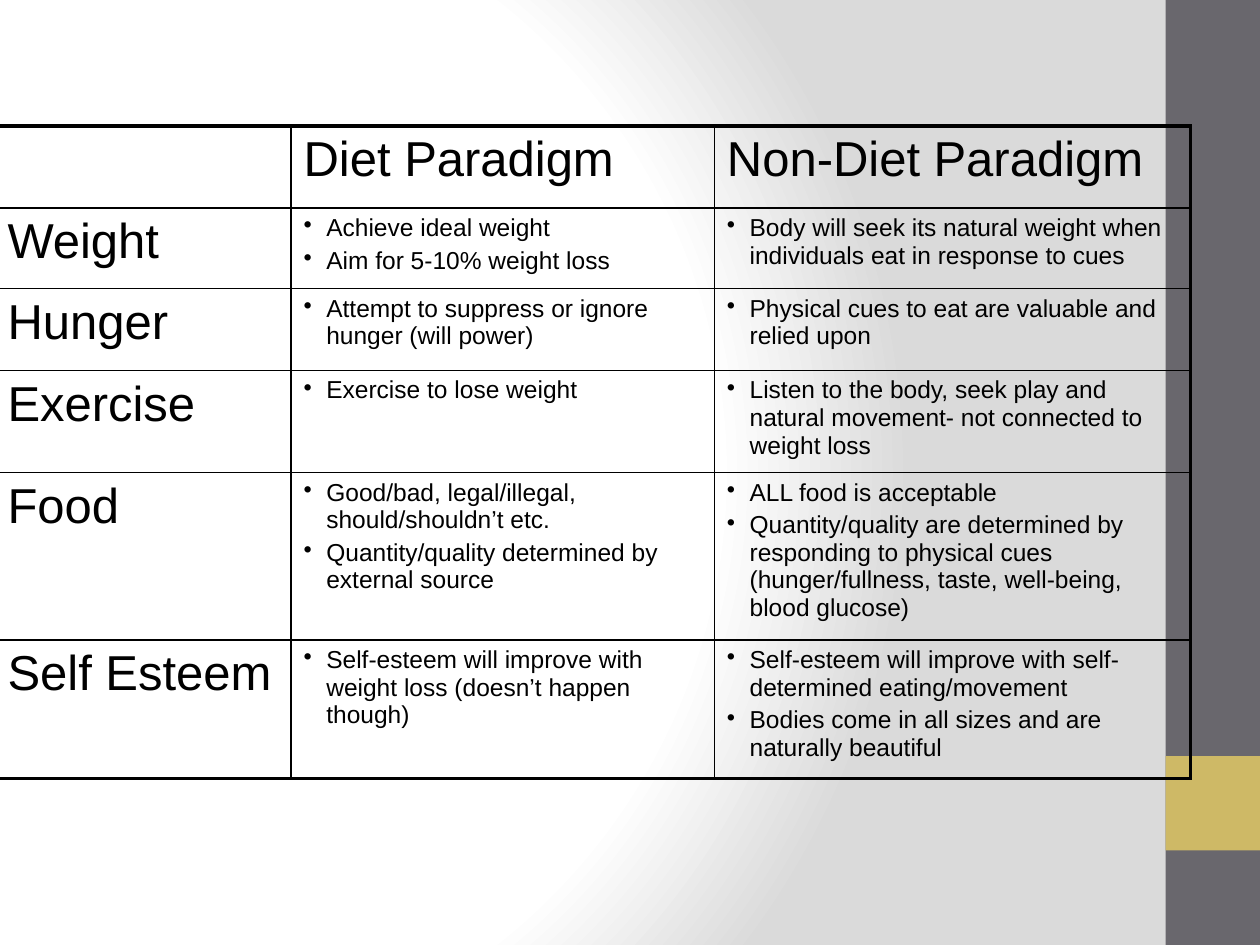
"""Build a slide with a table comparing the diet and non-diet paradigms."""
import pptx
import pptx.dml.color
import pptx.enum.shapes
import pptx.oxml
import pptx.oxml.ns
import pptx.util
from lxml import etree

Inches, Pt = pptx.util.Inches, pptx.util.Pt
RGBColor = pptx.dml.color.RGBColor
qn = pptx.oxml.ns.qn

BLACK = RGBColor(0x00, 0x00, 0x00)
WHITE = RGBColor(0xFF, 0xFF, 0xFF)
LIGHT_GREY = RGBColor(0xDA, 0xDA, 0xDA)
SLATE = RGBColor(0x69, 0x67, 0x6D)
GOLD = RGBColor(0xCE, 0xB9, 0x66)

COLUMN_WIDTHS = [2.35, 3.36, 3.78]
ROW_HEIGHTS = [0.65, 0.64, 0.65, 0.81, 1.33, 1.1]
ROWS = [
    ("", ["Diet Paradigm"], ["Non-Diet Paradigm"]),
    ("Weight",
     ["Achieve ideal weight", "Aim for 5-10% weight loss"],
     ["Body will seek its natural weight when individuals eat in response to cues"]),
    ("Hunger",
     ["Attempt to suppress or ignore hunger (will power)"],
     ["Physical cues to eat are valuable and relied upon"]),
    ("Exercise",
     ["Exercise to lose weight"],
     ["Listen to the body, seek play and natural movement- not connected to weight loss"]),
    ("Food",
     ["Good/bad, legal/illegal, should/shouldn’t etc.",
      "Quantity/quality determined by external source"],
     ["ALL food is acceptable",
      "Quantity/quality are determined by responding to physical cues "
      "(hunger/fullness, taste, well-being, blood glucose)"]),
    ("Self Esteem",
     ["Self-esteem will improve with weight loss (doesn’t happen though)"],
     ["Self-esteem will improve with self-determined eating/movement",
      "Bodies come in all sizes and are naturally beautiful"]),
]


def add_border(cell, position, side, width):
    line = etree.Element(qn(f"a:ln{side}"), w=str(Pt(width)))
    fill = etree.SubElement(line, qn("a:solidFill"))
    etree.SubElement(fill, qn("a:srgbClr"), val=str(BLACK))
    cell._tc.get_or_add_tcPr().insert(position, line)


def add_bullet(paragraph):
    properties = paragraph._p.get_or_add_pPr()
    properties.set("marL", str(Inches(0.18)))
    properties.set("indent", str(Inches(-0.18)))
    etree.SubElement(properties, qn("a:buChar"), char="•")


prs = pptx.Presentation()
prs.slide_width, prs.slide_height = Inches(10), Inches(7.5)
slide = prs.slides.add_slide(prs.slide_layouts[6])

slide.background.fill.gradient()
gradient = slide.element.find(".//" + qn("a:gradFill"))
for child in list(gradient):
    gradient.remove(child)
stops = etree.SubElement(gradient, qn("a:gsLst"))
for percent, color in [(0, WHITE), (75, WHITE), (100, LIGHT_GREY)]:
    stop = etree.SubElement(stops, qn("a:gs"), pos=str(percent * 1000))
    etree.SubElement(stop, qn("a:srgbClr"), val=str(color))
circle = etree.SubElement(gradient, qn("a:path"), attrib={"path": "circle"})
etree.SubElement(circle, qn("a:fillToRect"), l="20000", t="50000", r="100000", b="50000")

for top, height, color in [(0, 7.5, SLATE), (6, 0.75, GOLD)]:
    band = slide.shapes.add_shape(
        pptx.enum.shapes.MSO_SHAPE.RECTANGLE,
        Inches(9.25), Inches(top), Inches(0.75), Inches(height))
    band.fill.solid()
    band.fill.fore_color.rgb = color
    band.line.fill.background()
    band.shadow.inherit = False

paradigms = slide.shapes.add_table(
    len(ROWS), len(COLUMN_WIDTHS), Inches(-0.04), Inches(1),
    Inches(sum(COLUMN_WIDTHS)), Inches(sum(ROW_HEIGHTS))).table
paradigms.first_row = False
paradigms.horz_banding = False
for column, width in zip(paradigms.columns, COLUMN_WIDTHS):
    column.width = Inches(width)
for row, height in zip(paradigms.rows, ROW_HEIGHTS):
    row.height = Inches(height)

last_row, last_column = len(ROWS) - 1, len(COLUMN_WIDTHS) - 1
for r, (topic, diet, non_diet) in enumerate(ROWS):
    for c, lines in enumerate([[topic], diet, non_diet]):
        cell = paradigms.cell(r, c)
        cell.fill.background()
        outer_edges = [("L", c == 0), ("R", c == last_column),
                       ("T", r == 0), ("B", r == last_row)]
        for position, (side, outer) in enumerate(outer_edges):
            add_border(cell, position, side, 2.25 if outer else 1)
        heading = r == 0 or c == 0
        cell.text_frame.text = "\n".join(lines)
        for i, paragraph in enumerate(cell.text_frame.paragraphs):
            if i:
                paragraph.space_before = Pt(3)
            if not heading:
                add_bullet(paragraph)
            paragraph.font.size = Pt(28 if heading else 14)
            paragraph.font.name = "Arial"
            paragraph.font.color.rgb = BLACK
            for run in paragraph.runs:
                run.font.size = Pt(28 if heading else 14)
                run.font.name = "Arial"
                run.font.color.rgb = BLACK

prs.save("out.pptx")
